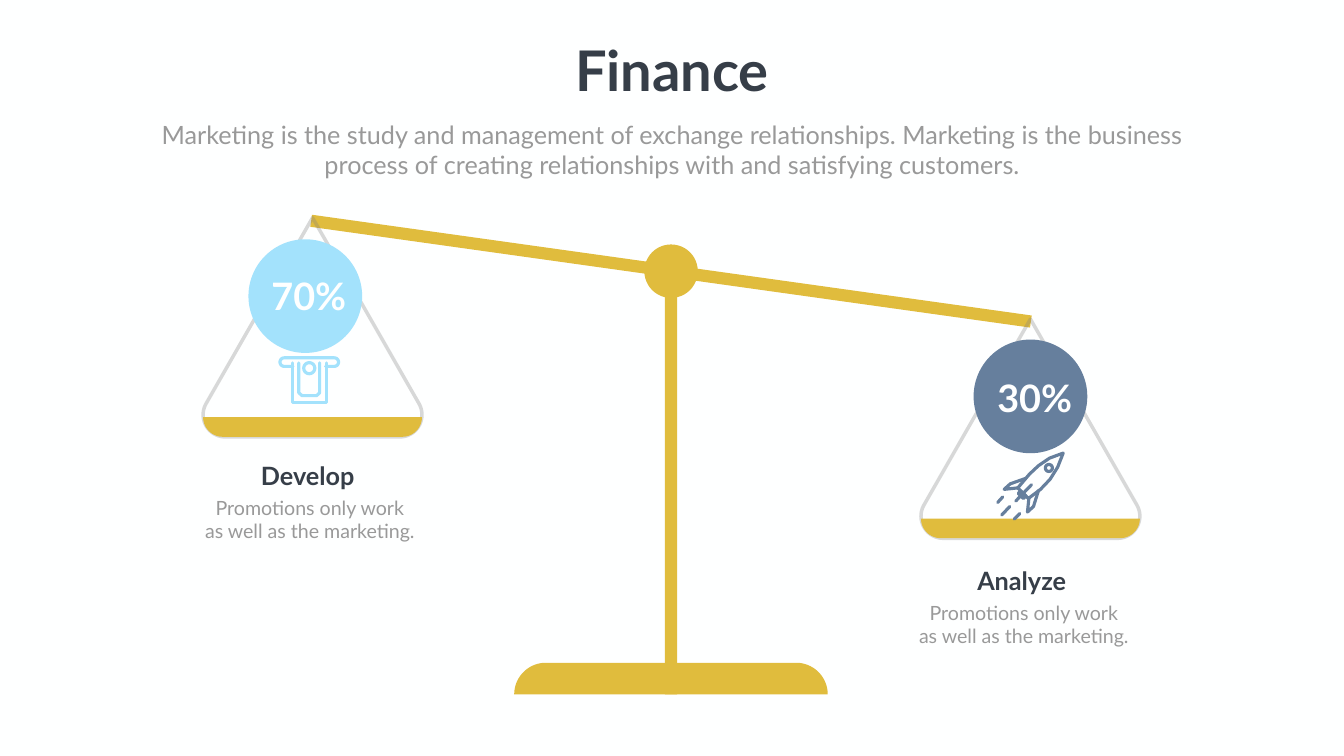
from math import cos, radians, sin

from lxml import etree
from pptx import Presentation
from pptx.dml.color import RGBColor
from pptx.enum import shapes, text
from pptx.oxml import ns
from pptx.util import Pt

HUES = {
    "gold": "E0BC3D", "sky": "A3E2FC", "slate": "667F9D", "wire": "808080",
    "dark": "363E48", "gray": "999999", "white": "FEFFFF",
}
RGB = {name: RGBColor.from_string(code) for name, code in HUES.items()}
KIND = shapes.MSO_SHAPE


def arc(x, y, r, start, end):
    """Points on a circle around (x, y), in degrees clockwise from the right."""
    steps = 24
    turns = [radians(start + (end - start) * i / steps) for i in range(steps + 1)]
    return [(x + r * cos(t), y + r * sin(t)) for t in turns]


def trace(points, fill=None, line=None, width=4.5, close=True):
    """Draw an outline through points, with a fill or a round-capped line."""
    spots = [(Pt(x), Pt(y)) for x, y in points]
    pen = slide.shapes.build_freeform(*spots[0], scale=1.0)
    pen.add_line_segments(spots[1:], close=close)
    form = pen.convert_to_shape()
    form.shadow.inherit = False
    if fill:
        form.fill.solid()
        form.fill.fore_color.rgb = RGB[fill]
    else:
        form.fill.background()
    if line:
        form.line.color.rgb = RGB[line]
        form.line.width = Pt(width)
        form.line._get_or_add_ln().set("cap", "rnd")
    else:
        form.line.fill.background()
    return form


deck = Presentation()
deck.slide_width, deck.slide_height = Pt(1919.5), Pt(1080)
slide = deck.slides.add_slide(deck.slide_layouts[6])
slide.background.fill.solid()
slide.background.fill.fore_color.rgb = RGB["white"]

# Two sides: hook point, disc offset and colour, number and label centres
sides = [
    dict(x=446.4, y=311, disc=(-10.4, 112), hue="sky", share="70%",
         mid=441, top=386, name="Develop", cap=439.5, low=653.8),
    dict(x=1471.7, y=455.8, disc=(0, 110.5), hue="slate", share="30%",
         mid=1477.8, top=531.4, name="Analyze", cap=1459.2, low=804.3),
]

# Post, beam and hub; then the base
hub = (958.4, 387.4)
parts = [
    (KIND.RECTANGLE, hub[0], 694, 17.6, 596, 0, "gold"),
    (KIND.RECTANGLE, *hub, 1038, 17.4, 7.97, "gold"),
    (KIND.OVAL, *hub, 76.4, 76.4, 0, "gold"),
]
trace(arc(779.6, 992, 45.2, 180, 270) + arc(1137, 992, 45.2, 270, 360), "gold")

for side in sides:
    x, y = side["x"], side["y"]
    dx, dy = side["disc"]
    parts.append((KIND.OVAL, x + dx, y + dy, 162.4, 162.4, 0, side["hue"]))

hooks = []
for kind, x, y, w, h, turn, hue in parts:
    part = slide.shapes.add_shape(kind, Pt(x - w / 2), Pt(y - h / 2), Pt(w), Pt(h))
    part.rotation = turn
    part.shadow.inherit = False
    part.fill.solid()
    part.fill.fore_color.rgb = RGB[hue]
    part.line.fill.background()
    if w == 162.4:
        hooks.append(part)

# Wires sit behind the discs, bowls in front of the wires
for side, disc in zip(sides, hooks):
    x, y = side["x"], side["y"]
    wire = trace([(x, y)] + arc(x + 124.6, y + 281.5, 31.7, -30, 90)
                 + arc(x - 124.6, y + 281.5, 31.7, 90, 210), line="wire", width=5)
    hue = wire.line._get_or_add_ln().find(".//" + ns.qn("a:srgbClr"))
    etree.SubElement(hue, ns.qn("a:alpha"), val="30000")
    disc._element.addprevious(wire._element)
    trace(arc(x + 128.3, y + 285, 28, 0, 90) + arc(x - 128.3, y + 285, 28, 90, 180), "gold")

# Banknote icon: slot, note, inner frame, coin
note = [
    [(418.3, 523.4)] + arc(406, 517.3, 6.1, 90, 270)
    + arc(477.4, 517.3, 6.1, 270, 450) + [(465.1, 523.4)],
    [(417.6, 518.4), (417.6, 574.6), (465.8, 574.6), (465.8, 518.4)],
    [(426.6, 518.4), (426.6, 560.9), (431.3, 565.2), (452.2, 565.2),
     (456.5, 560.9), (456.5, 518.4)],
    arc(441.7, 526, 7.9, 0, 360),
]
# Rocket icon: body, two fins, nozzle, window
rocket = [
    [(1468.8, 712.1), (1453.7, 697), (1470.2, 677.5), (1483.2, 665.3), (1499, 654.5),
     (1518.5, 647.3), (1510.6, 667.4), (1499.8, 684.7), (1486.1, 699.1), (1468.8, 712.1)],
    [(1483.2, 700.6), (1476, 723.6), (1467.4, 731.5), (1469.5, 711.4)],
    [(1465.2, 683.3), (1442.9, 691.2), (1434.2, 699.1), (1453.7, 697)],
    [(1454.4, 704.9), (1461.6, 712.1), (1465.2, 708.5), (1457.3, 701.3), (1454.4, 704.9)],
    arc(1498, 668.5, 5, 0, 360),
]
for icon, hue in ((note, "sky"), (rocket, "slate")):
    for stroke in icon:
        trace(stroke, line=hue, close=False)

flames = [
    (1450.8, 715.7, 1473.1, 692.6), (1424.9, 717.8, 1432.1, 709.9),
    (1430.6, 735.8, 1442.2, 723.6), (1448.6, 741.6, 1456.6, 733.7),
]
for ends in flames:
    flame = slide.shapes.add_connector(shapes.MSO_CONNECTOR.STRAIGHT, *map(Pt, ends))
    flame.line.color.rgb = RGB["slate"]
    flame.line.width = Pt(4.5)
    flame.line._get_or_add_ln().set("cap", "rnd")
    etree.SubElement(flame._element.spPr, ns.qn("a:effectLst"))

# Text: centre, top, width, height, wrap, lines, size, colour, bold
blurb = ("Marketing is the study and management of exchange relationships. "
         "Marketing is the business process of creating relationships with "
         "and satisfying customers.")
pitch = ["Promotions only work", "as well as the marketing."]
words = [
    (959.8, 47.5, 296.6, 104.4, False, ["Finance"], 80, "dark", True),
    (959.8, 167, 1533.6, 94.3, True, [blurb], 36, "gray", False),
]
for side in sides:
    cap, low = side["cap"], side["low"]
    words += [
        (side["mid"], side["top"], 123, 72.7, False, [side["share"]], 54, "white", True),
        (cap, low, 188, 51, True, [side["name"]], 36, "dark", True),
        (cap + 3, low + 50.4, 349, 75, True, pitch, 28, "gray", False),
    ]
for mid, top, w, h, wrap, lines, size, hue, bold in words:
    box = slide.shapes.add_textbox(Pt(mid - w / 2), Pt(top), Pt(w), Pt(h))
    frame = box.text_frame
    frame.word_wrap = wrap
    frame.text = "\n".join(lines)
    style = {"name": "Lato", "size": Pt(size), "bold": bold}
    for para in frame.paragraphs:
        para.alignment = text.PP_ALIGN.CENTER
        for key, value in style.items():
            setattr(para.font, key, value)
        para.font.color.rgb = RGB[hue]

deck.save("out.pptx")
